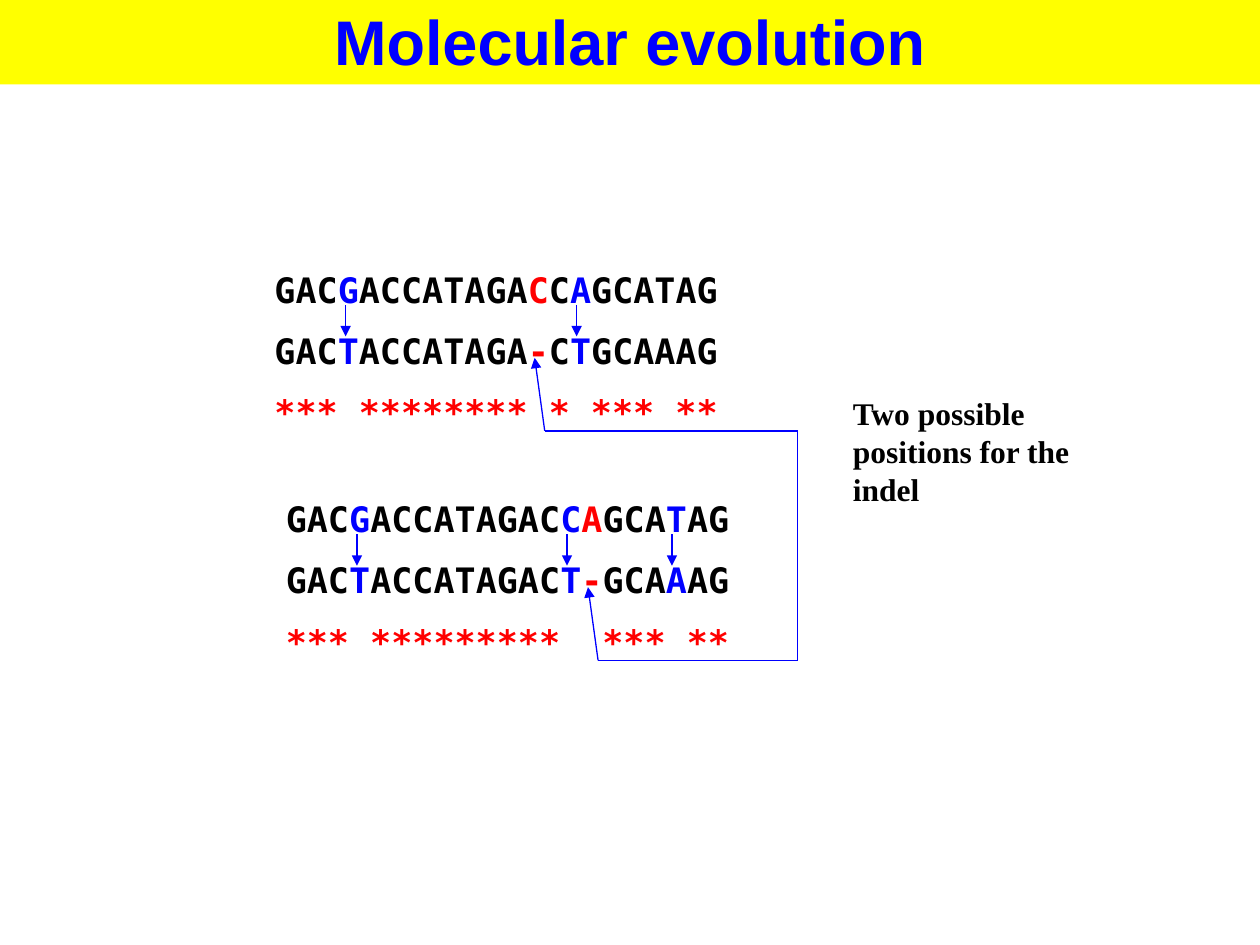
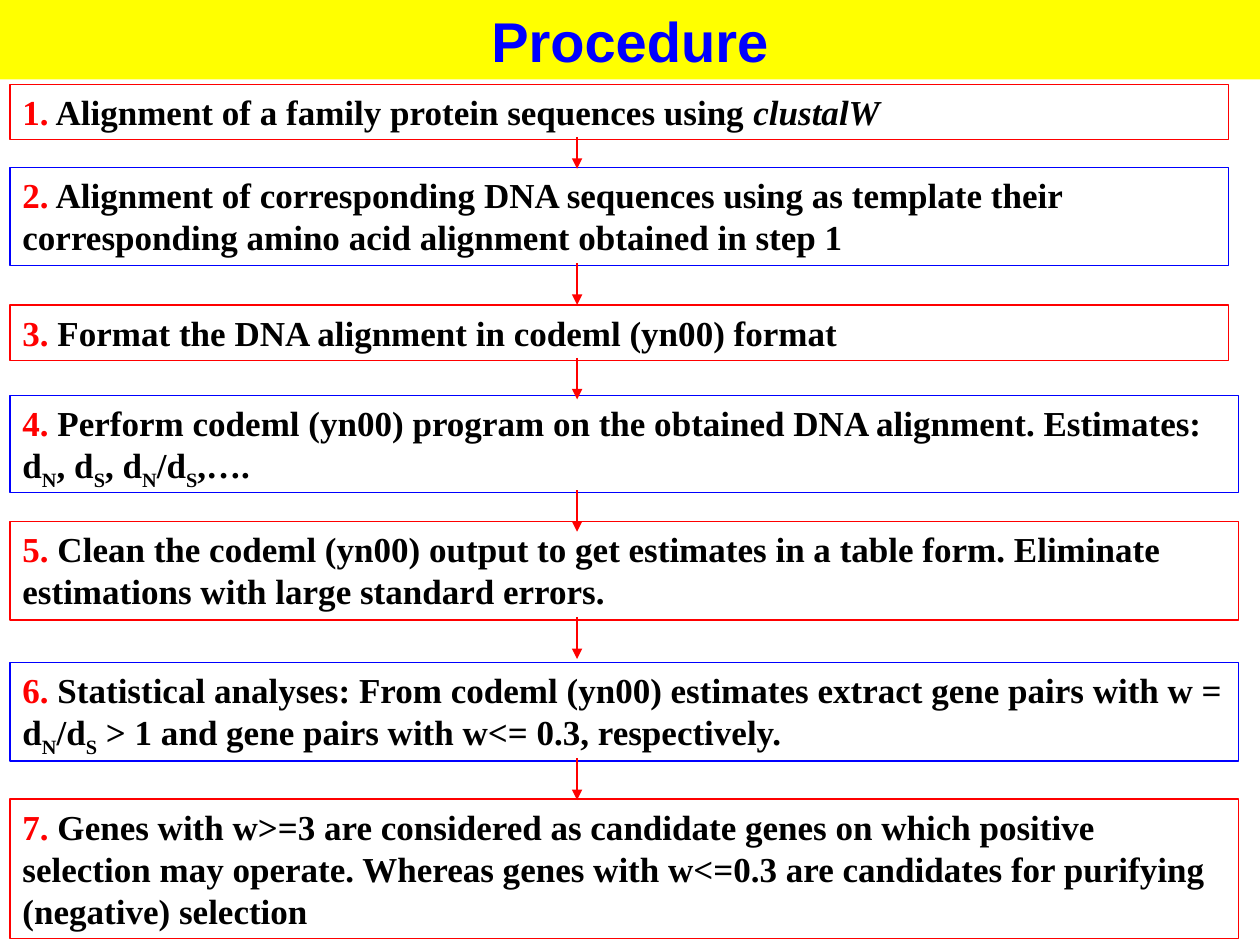
from dataclasses import dataclass
from itertools import groupby
from typing import Iterable

from lxml import etree
from pptx import Presentation
from pptx import util as u
from pptx.dml.color import RGBColor
from pptx.enum import shapes, text
from pptx.oxml.ns import qn

YELLOW, BLUE, RED, BLACK = "FFFF00", "0000FF", "FF0000", "000000"
SERIF, SANS, MONO = "Times New Roman", "Arial", "DejaVu Sans Mono"

BASE_WIDTH = 1 / 6  # inches taken by one 20 pt monospaced letter
FLOW_X = 4.58


@dataclass
class Span:
    text: str
    colour: str = BLACK
    italic: bool = False
    subscript: bool = False


@dataclass
class Alignment:
    left: float
    top: float
    ancestor: str
    descendant: str
    substitutions: tuple[int, ...]

    @property
    def indel(self) -> int:
        return self.descendant.index("-")

    @property
    def matches(self) -> str:
        pairs = zip(self.ancestor, self.descendant)
        return "".join("*" if a == b else " " for a, b in pairs)

    def column_x(self, column: int) -> float:
        return self.left + 0.08 + (column + 0.5) * BASE_WIDTH

    def colour_at(self, column: int) -> str:
        if column == self.indel:
            return RED
        return BLUE if column in self.substitutions else BLACK


@dataclass
class Step:
    """One box of the procedure; "_" before a letter makes it a subscript."""
    top: float
    width: float
    height: float
    text: str
    italic_end: str = ""
    arrow_length: float = 0.33


ALIGNMENTS = [
    Alignment(2.08, 2.08, "GACGACCATAGACCAGCATAG",
              "GACTACCATAGA-CTGCAAAG", (3, 14)),
    Alignment(2.17, 3.9, "GACGACCATAGACCAGCATAG",
              "GACTACCATAGACT-GCAAAG", (3, 13, 18)),
]

STEPS = [
    Step(0.67, 9.67, 0.44, "Alignment of a family protein sequences using ",
         italic_end="clustalW", arrow_length=0.25),
    Step(1.33, 9.67, 0.78,
         "Alignment of corresponding DNA sequences using as template their "
         "corresponding amino acid alignment obtained in step 1"),
    Step(2.42, 9.67, 0.44, "Format the DNA alignment in codeml (yn00) format"),
    Step(3.14, 9.75, 0.77,
         "Perform codeml (yn00) program on the obtained DNA alignment. "
         "Estimates: d_N, d_S, d_N/d_S,…."),
    Step(4.14, 9.75, 0.78,
         "Clean the codeml (yn00) output to get estimates in a table form. "
         "Eliminate estimations with large standard errors."),
    Step(5.26, 9.75, 0.78,
         "Statistical analyses: From codeml (yn00) estimates extract gene "
         "pairs with w = d_N/d_S > 1 and gene pairs with w<= 0.3, "
         "respectively."),
    Step(6.34, 9.75, 1.11,
         "Genes with w>=3 are considered as candidate genes on which positive "
         "selection may operate. Whereas genes with w<=0.3 are candidates for "
         "purifying (negative) selection", arrow_length=0),
]


def rgb(colour: str) -> RGBColor:
    return RGBColor.from_string(colour)


def write(box, lines: list[Iterable[Span]], face: str, size: float,
          align=text.PP_ALIGN.LEFT) -> None:
    """Fill a box with bold paragraphs, one for each line of spans."""
    frame = box.text_frame
    frame.word_wrap = True
    frame.vertical_anchor = text.MSO_ANCHOR.TOP
    frame.auto_size = text.MSO_AUTO_SIZE.SHAPE_TO_FIT_TEXT
    for number, line in enumerate(lines):
        para = frame.add_paragraph() if number else frame.paragraphs[0]
        para.alignment = align
        if number:
            para.space_before = u.Pt(11)
        para.font.name, para.font.size, para.font.bold = face, u.Pt(size), True
        for span in line:
            run = para.add_run()
            run.text = span.text
            run.font.color.rgb = rgb(span.colour)
            if span.italic:
                run.font.italic = True
            if span.subscript:
                run._r.get_or_add_rPr().set("baseline", "-25000")


def add_textbox(page, left: float, top: float, width: float, height: float):
    return page.shapes.add_textbox(*map(u.Inches, (left, top, width, height)))


def add_rectangle(page, left: float, top: float, width: float, height: float,
                  fill: str | None = None, line: str | None = None):
    box = page.shapes.add_shape(shapes.MSO_SHAPE.RECTANGLE,
                                *map(u.Inches, (left, top, width, height)))
    box.shadow.inherit = False
    if fill:
        box.fill.solid()
        box.fill.fore_color.rgb = rgb(fill)
    else:
        box.fill.background()
    if line:
        box.line.color.rgb = rgb(line)
        box.line.width = u.Pt(0.75)
    else:
        box.line.fill.background()
    return box


def add_line(page, start: tuple[float, float], end: tuple[float, float],
             colour: str = BLUE, width: float = 0.75,
             arrow: bool = False) -> None:
    line = page.shapes.add_connector(shapes.MSO_CONNECTOR.STRAIGHT,
                                     *map(u.Inches, (*start, *end)))
    line.line.color.rgb = rgb(colour)
    line.line.width = u.Pt(width)
    if arrow:
        etree.SubElement(line.line._get_or_add_ln(), qn("a:tailEnd"),
                         type="triangle")
    etree.SubElement(line._element.spPr, qn("a:effectLst"))


def add_banner(page, title: str, top: float, height: float,
               size: float) -> None:
    banner = add_rectangle(page, 0, top, 10, height, fill=YELLOW)
    write(banner, [[Span(title, BLUE)]], SANS, size, text.PP_ALIGN.CENTER)


def sequence_spans(alignment: Alignment, sequence: str) -> list[Span]:
    """Join neighbouring bases of equal colour into spans."""
    columns = range(len(sequence))
    return [Span("".join(sequence[column] for column in group), colour)
            for colour, group in groupby(columns, alignment.colour_at)]


def step_spans(number: int, step: Step) -> list[Span]:
    first, *rest = step.text.split("_")
    spans = [Span(f"{number}.", RED), Span(f" {first}")]
    for part in rest:
        spans += [Span(part[0], subscript=True), Span(part[1:])]
    if step.italic_end:
        spans.append(Span(step.italic_end, italic=True))
    return spans


def add_alignment(page, alignment: Alignment, bracket_x: float) -> float:
    """Draw an alignment with its arrows; return the height of its indel line."""
    left, top = alignment.left, alignment.top
    box = add_textbox(page, left, top, 4, 1.43)
    write(box, [sequence_spans(alignment, alignment.ancestor),
                sequence_spans(alignment, alignment.descendant),
                [Span(alignment.matches, RED)]], MONO, 20)
    for column in alignment.substitutions:
        x = alignment.column_x(column)
        add_line(page, (x, top + 0.34), (x, top + 0.59), arrow=True)
    indel_x, foot_y = alignment.column_x(alignment.indel), top + 1.34
    foot = (indel_x + 0.08, foot_y)
    add_line(page, foot, (indel_x, top + 0.76), arrow=True)
    add_line(page, foot, (bracket_x, foot_y))
    return foot_y


def build_evolution(page) -> None:
    bracket_x = 6.33
    upper, lower = [add_alignment(page, alignment, bracket_x)
                    for alignment in ALIGNMENTS]
    add_line(page, (bracket_x, lower), (bracket_x, upper))
    note = add_textbox(page, 6.67, 3.08, 2.08, 1)
    write(note, [[Span("Two possible positions for the indel")]], SERIF, 18)
    add_banner(page, "Molecular evolution", -0.03, 0.7, 36)


def build_procedure(page) -> None:
    for number, step in enumerate(STEPS, start=1):
        box = add_rectangle(page, 0.08, step.top, step.width, step.height,
                            line=RED if number % 2 else BLUE)
        write(box, [step_spans(number, step)], SERIF, 20)
    add_banner(page, "Procedure", 0, 0.63, 32)
    for step in STEPS:
        if step.arrow_length:
            start = step.top + step.height - 0.02
            add_line(page, (FLOW_X, start),
                     (FLOW_X, start + step.arrow_length), RED, 1.5, arrow=True)


def main() -> None:
    deck = Presentation()
    deck.slide_width, deck.slide_height = u.Inches(10), u.Inches(7.5)
    for build in (build_evolution, build_procedure):
        build(deck.slides.add_slide(deck.slide_layouts[6]))
    deck.save("out.pptx")


if __name__ == "__main__":
    main()
